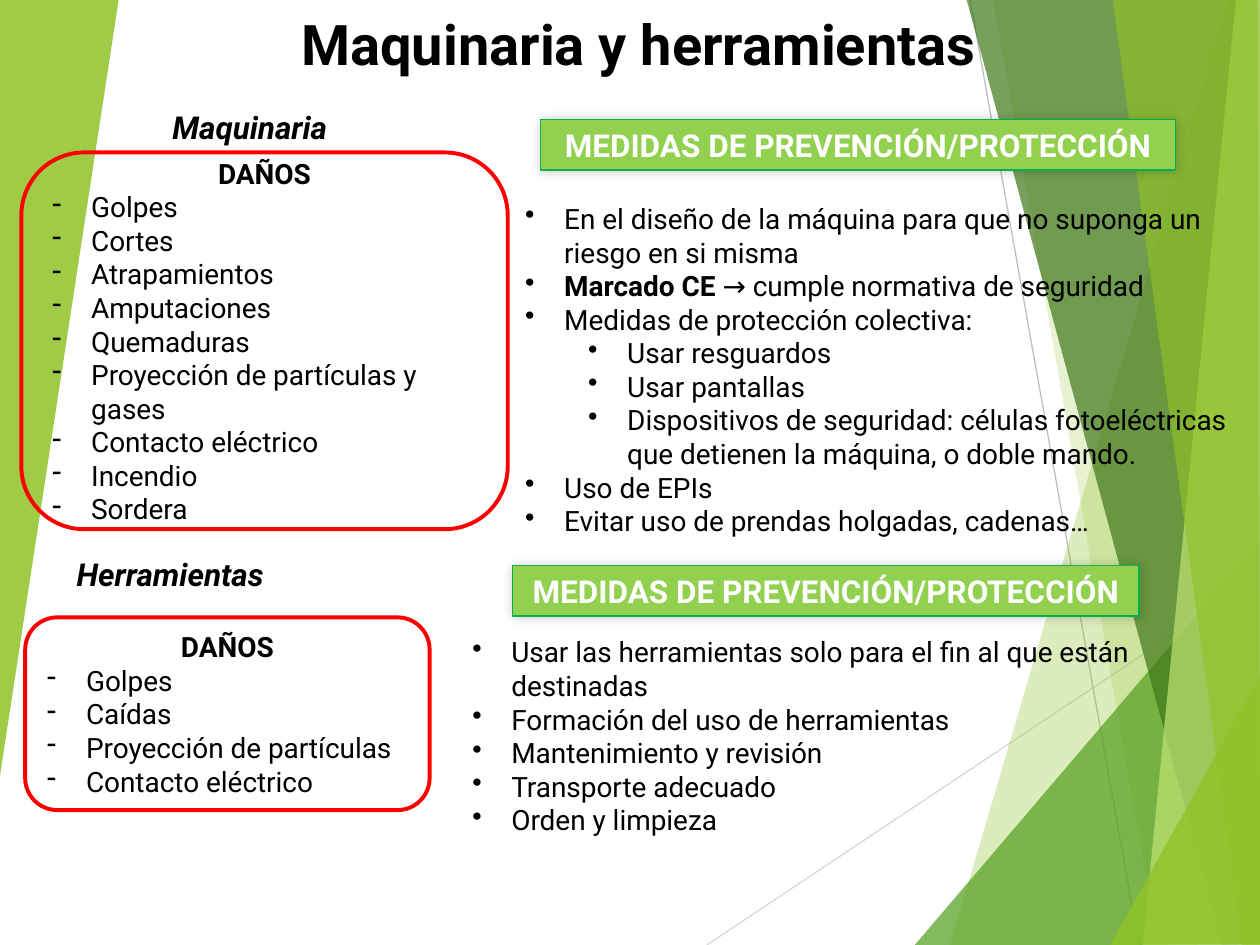
from lxml import etree
from pptx import Presentation
from pptx.dml.color import RGBColor
from pptx.enum import shapes, text
from pptx.oxml import ns
from pptx.util import Inches, Pt

FONT = "Roboto"
BLACK, WHITE, RED = "000000", "FFFFFF", "FF0000"
LEFT, CENTER = text.PP_ALIGN.LEFT, text.PP_ALIGN.CENTER
TOP, MIDDLE = text.MSO_ANCHOR.TOP, text.MSO_ANCHOR.MIDDLE

RAYS = [
    ((5.61, 7.5), (10.01, 4.57), "D9D9D9"),
    ((7.7, 0), (9.04, 7.5), "BFBFBF"),
]
FACETS = [
    ("90C226", 30, [(9.75, 0), (7.54, 7.5), (10.02, 7.51), (10.01, 0.01)]),
    ("90C226", 20, [(7.88, -0.01), (9.19, 7.5), (10.01, 7.5), (10.01, -0.01)]),
    ("54A021", 72, [(7.26, 7.5), (10, 4.29), (10.01, 7.5)]),
    ("3F7819", 70, [(7.67, -0.01), (9.7, 7.5), (10.01, 7.49), (10.01, -0.01)]),
    ("C0E474", 70, [(9.81, -0.01), (9.07, 7.5), (10.01, 7.5), (10, -0.01)]),
    ("90C226", 65, [(8.83, -0.01), (9.86, 7.5), (10, 7.5), (9.98, -0.01)]),
    ("90C226", 80, [(8.81, 7.5), (10.01, 5.35), (10.01, 7.49)]),
    ("90C226", 85, [(-0.01, 0), (0.94, -0.01), (0.94, 0.01), (-0.01, 6.22)]),
]
MACHINE_HARM = [
    "Golpes", "Cortes", "Atrapamientos", "Amputaciones", "Quemaduras",
    "Proyección de partículas y gases", "Contacto eléctrico", "Incendio", "Sordera",
]
TOOL_HARM = ["Golpes", "Caídas", "Proyección de partículas", "Contacto eléctrico"]
# Each measure is (level, bold lead, text).
MACHINE_CARE = [
    (0, "", "En el diseño de la máquina para que no suponga un riesgo en si misma"),
    (0, "Marcado CE ", "→ cumple normativa de seguridad"),
    (0, "", "Medidas de protección colectiva:"),
    (1, "", "Usar resguardos"),
    (1, "", "Usar pantallas"),
    (1, "", "Dispositivos de seguridad: células fotoeléctricas que detienen "
            "la máquina, o doble mando."),
    (0, "", "Uso de EPIs"),
    (0, "", "Evitar uso de prendas holgadas, cadenas…"),
]
TOOL_CARE = [(0, "", line) for line in (
    "Usar las herramientas solo para el fin al que están destinadas",
    "Formación del uso de herramientas", "Mantenimiento y revisión",
    "Transporte adecuado", "Orden y limpieza",
)]


def rgb(code):
    return RGBColor.from_string(code)


def node(parent, tag, **attrs):
    return etree.SubElement(parent, ns.qn(tag), {k: str(v) for k, v in attrs.items()})


def ray(slide, start, end, color):
    line = slide.shapes.add_connector(
        shapes.MSO_CONNECTOR.STRAIGHT, *map(Inches, start + end))
    line.line.color.rgb = rgb(color)
    line.line.width = Pt(0.75)
    node(line._element.spPr, "a:effectLst")


def facet(slide, color, alpha, points):
    points = [(Inches(x), Inches(y)) for x, y in points]
    form = slide.shapes.build_freeform(*points[0])
    form.add_line_segments(points[1:], close=True)
    shape = form.convert_to_shape()
    shape.shadow.inherit = False
    shape.line.fill.background()
    shape.fill.solid()
    shape.fill.fore_color.rgb = rgb(color)
    tint = shape._element.spPr.find(".//" + ns.qn("a:srgbClr"))
    node(tint, "a:alpha", val=alpha * 1000)


def style(run, size, color=BLACK, bold=False, italic=False):
    font = run.font
    font.name, font.size, font.bold, font.italic = FONT, Pt(size), bold, italic
    font.color.rgb = rgb(color)


def heading(frame, words, size, color=BLACK, align=LEFT, italic=False):
    """Write the first paragraph of a frame in bold."""
    para = frame.paragraphs[0]
    para.text = words
    para.alignment = align
    style(para.runs[0], size, color, True, italic)


def item(para, mark, level, lead, words):
    para.level = level
    para.alignment = LEFT
    props = para._p.get_or_add_pPr()
    props.set("marL", str(Inches(0.31 + 0.5 * level)))
    props.set("indent", str(Inches(-0.31)))
    node(props, "a:buChar", char=mark)
    for part, bold in ((lead, True), (words, False)):
        if part:
            run = para.add_run()
            run.text = part
            style(run, 16, bold=bold)


def text_box(slide, box, grow=True, anchor=TOP):
    frame = slide.shapes.add_textbox(*map(Inches, box)).text_frame
    frame.word_wrap = True
    frame.vertical_anchor = anchor
    if grow:
        frame.auto_size = text.MSO_AUTO_SIZE.SHAPE_TO_FIT_TEXT
    return frame


def block(slide, kind, box, line, width, fill=None):
    shape = slide.shapes.add_shape(kind, *map(Inches, box))
    shape.shadow.inherit = False
    shape.line.color.rgb = rgb(line)
    shape.line.width = Pt(width)
    if fill:
        shape.fill.solid()
        shape.fill.fore_color.rgb = rgb(fill)
    else:
        shape.fill.background()
    return shape


def banner(slide, box):
    shape = block(slide, shapes.MSO_SHAPE.RECTANGLE, box, "00B050", 0.75, "92D050")
    effects = shape._element.spPr.find(ns.qn("a:effectLst"))
    glow = node(effects, "a:outerShdw", blurRad=Pt(6), dist=0, dir=225 * 60000)
    node(node(glow, "a:srgbClr", val=BLACK), "a:alpha", val=20000)
    frame = shape.text_frame
    frame.vertical_anchor = TOP
    frame.auto_size = text.MSO_AUTO_SIZE.SHAPE_TO_FIT_TEXT
    heading(frame, "MEDIDAS DE PREVENCIÓN/PROTECCIÓN", 18, WHITE, CENTER)


def harm_box(slide, box, harms):
    shape = block(slide, shapes.MSO_SHAPE.ROUNDED_RECTANGLE, box, RED, 2.25)
    frame = shape.text_frame
    frame.vertical_anchor = MIDDLE
    heading(frame, "DAÑOS", 16, align=CENTER)
    for harm in harms:
        item(frame.add_paragraph(), "-", 0, "", harm)


def care_list(slide, box, rows):
    frame = text_box(slide, box)
    for i, row in enumerate(rows):
        para = frame.add_paragraph() if i else frame.paragraphs[0]
        item(para, "•", *row)


def main():
    deck = Presentation()
    deck.slide_width, deck.slide_height = Inches(10), Inches(7.5)
    slide = deck.slides.add_slide(deck.slide_layouts[6])
    for row in RAYS:
        ray(slide, *row)
    for row in FACETS:
        facet(slide, *row)

    title = text_box(slide, (0.14, 0.03, 9.86, 0.63), grow=False, anchor=MIDDLE)
    heading(title, "Maquinaria y herramientas", 32, align=CENTER)

    banner(slide, (4.29, 0.95, 5.04, 0.4))
    harm_box(slide, (0.17, 1.21, 3.86, 2.99), MACHINE_HARM)
    care_list(slide, (4.07, 1.55, 5.93, 2.79), MACHINE_CARE)

    banner(slide, (4.07, 4.49, 4.97, 0.4))
    harm_box(slide, (0.2, 4.9, 3.21, 1.53), TOOL_HARM)
    care_list(slide, (3.65, 4.99, 6.29, 1.45), TOOL_CARE)

    for words, box in (("Maquinaria", (1.27, 0.81, 1.65, 0.4)),
                       ("Herramientas", (0.51, 4.36, 2.41, 0.4))):
        heading(text_box(slide, box), words, 18, italic=True)
    deck.save("out.pptx")


if __name__ == "__main__":
    main()
